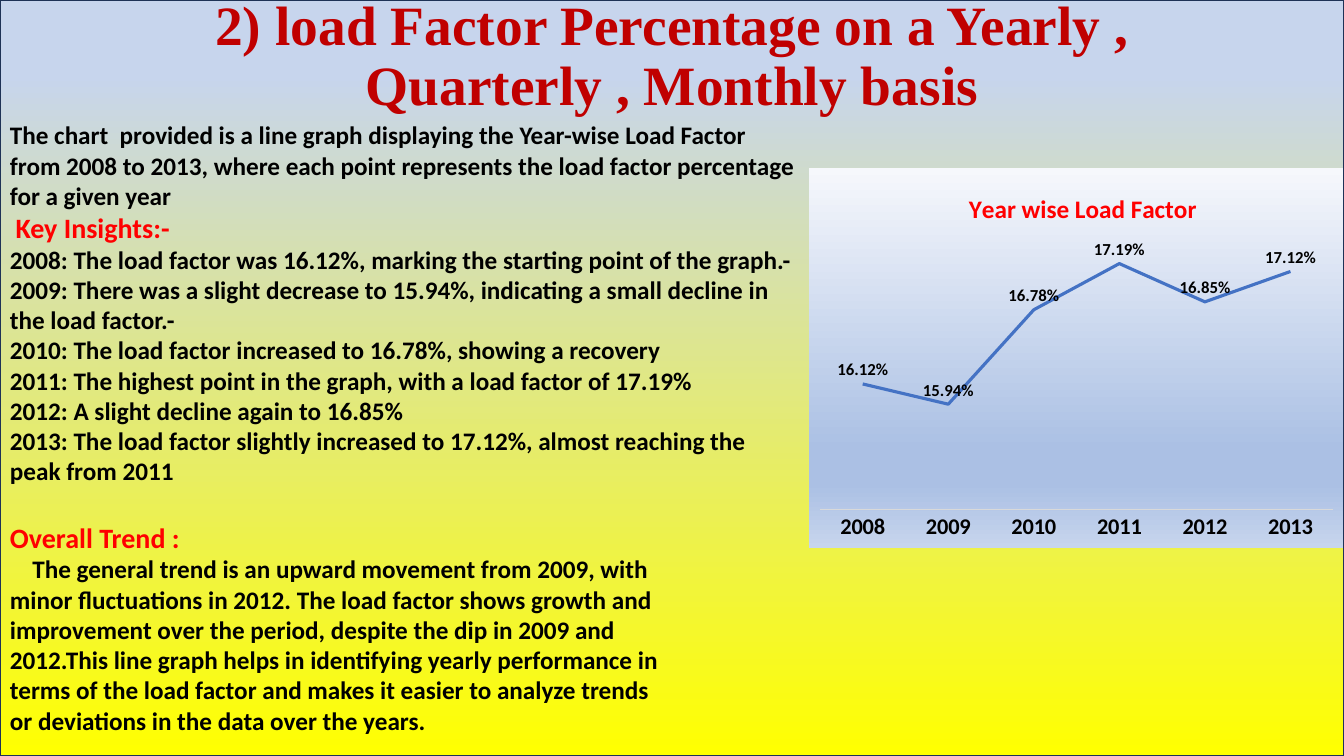
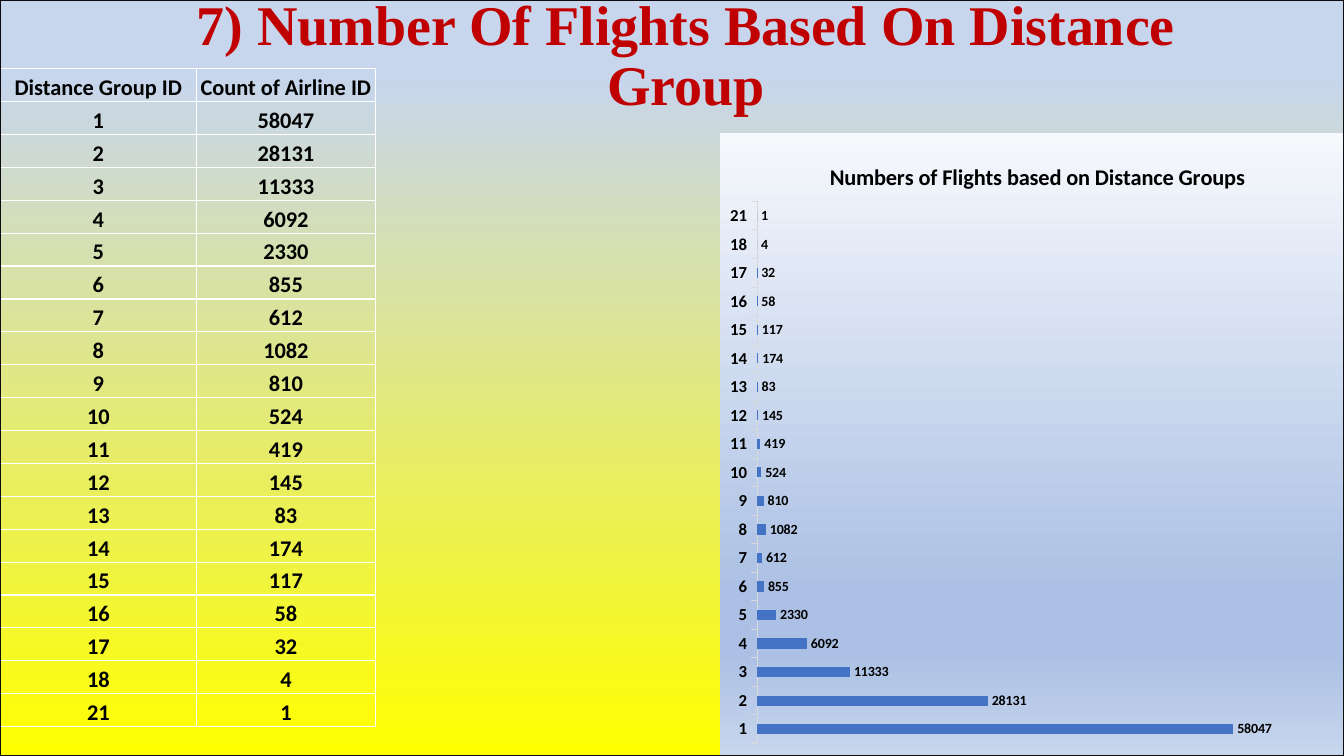
import pptx
import pptx.chart.data
import pptx.dml.color
import pptx.enum.chart
import pptx.enum.shapes
import pptx.enum.text
import pptx.oxml
import pptx.oxml.ns
import pptx.util

Pt = pptx.util.Pt
RGBColor = pptx.dml.color.RGBColor
CHART_TYPE = pptx.enum.chart.XL_CHART_TYPE
LABEL_POSITION = pptx.enum.chart.XL_LABEL_POSITION
TICK_MARK = pptx.enum.chart.XL_TICK_MARK
ANCHOR = pptx.enum.text.MSO_ANCHOR
CENTER = pptx.enum.text.PP_ALIGN.CENTER

BLACK = RGBColor(0x00, 0x00, 0x00)
RED = RGBColor(0xFF, 0x00, 0x00)
DARK_RED = RGBColor(0xC0, 0x00, 0x00)
WHITE = RGBColor(0xFF, 0xFF, 0xFF)
YELLOW = RGBColor(0xFF, 0xFF, 0x00)
NEAR_BLACK = RGBColor(0x0D, 0x0D, 0x0D)
NAVY = RGBColor(0x1E, 0x32, 0x56)
SERIES_BLUE = RGBColor(0x44, 0x72, 0xC4)
AXIS_GREY = RGBColor(0xD9, 0xD9, 0xD9)
PALE = RGBColor(0xF6, 0xF8, 0xFC)
LIGHT_BLUE = RGBColor(0xC7, 0xD5, 0xED)
MID_BLUE = RGBColor(0xAB, 0xC0, 0xE4)

PAGE_STOPS = [(10, LIGHT_BLUE), (100, YELLOW), (100, MID_BLUE)]
CHART_STOPS = [(0, PALE), (74, MID_BLUE), (83, MID_BLUE), (100, LIGHT_BLUE)]

BODY_FONT = "Calibri"
TITLE_FONT = "Times New Roman"
SLIDE_W, SLIDE_H = 960, 540

LOAD_FACTORS = {"2008": 0.1612, "2009": 0.1594, "2010": 0.1678,
                "2011": 0.1719, "2012": 0.1685, "2013": 0.1712}
FLIGHTS = {"1": 58047, "2": 28131, "3": 11333, "4": 6092, "5": 2330,
           "6": 855, "7": 612, "8": 1082, "9": 810, "10": 524, "11": 419,
           "12": 145, "13": 83, "14": 174, "15": 117, "16": 58, "17": 32,
           "18": 4, "21": 1}

# Paragraphs are (text, size, colour, first-line indent)
INSIGHTS = [
    ("The chart  provided is a line graph displaying the Year-wise Load Factor "
     "from 2008 to 2013, where each point represents the load factor "
     "percentage for a given year", 18, BLACK, 0),
    ("Key Insights:-", 20, RED, 4),
] + [(text, 18, BLACK, 0) for text in (
    "2008: The load factor was 16.12%, marking the starting point of the graph.-",
    "2009: There was a slight decrease to 15.94%, indicating a small decline in "
    "the load factor.-",
    "2010: The load factor increased to 16.78%, showing a recovery",
    "2011: The highest point in the graph, with a load factor of 17.19%",
    "2012: A slight decline again to 16.85%",
    "2013: The load factor slightly increased to 17.12%, almost reaching the "
    "peak from 2011",
)]
TREND = [
    ("Overall Trend :", 20, RED, 0),
    ("The general trend is an upward movement from 2009, with minor "
     "fluctuations in 2012. The load factor shows growth and improvement over "
     "the period, despite the dip in 2009 and 2012.This line graph helps in "
     "identifying yearly performance in terms of the load factor and makes it "
     "easier to analyze trends or deviations in the data over the years.",
     18, BLACK, 16),
]


def xml(tag, content="", attrs=""):
    ns = pptx.oxml.ns.nsdecls("a", "c")
    return pptx.oxml.parse_xml(f"<{tag} {ns} {attrs}>{content}</{tag}>")


def gradient(stops):
    """Return the inner XML of a top-to-bottom gradient fill."""
    marks = "".join(f'<a:gs pos="{pos * 1000}"><a:srgbClr val="{color}"/></a:gs>'
                    for pos, color in stops)
    return f'<a:gsLst>{marks}</a:gsLst><a:lin ang="5400000" scaled="0"/>'


def style_font(font, size, color, name=BODY_FONT, bold=True):
    font.name, font.size, font.bold = name, Pt(size), bold
    font.color.rgb = color


def add_slide(prs):
    s = prs.slides.add_slide(prs.slide_layouts[6])
    fill = s.background.fill
    fill.solid()
    solid = s.element.xpath("p:cSld/p:bg/p:bgPr/a:solidFill")[0]
    solid.getparent().replace(solid, xml("a:gradFill", gradient(PAGE_STOPS)))
    return s


def add_text(s, box):
    tf = s.shapes.add_textbox(*map(Pt, box)).text_frame
    tf.word_wrap = True
    return tf


def add_title(s, left, text, size=40):
    tf = add_text(s, (left, 0, 828, 82))
    tf.vertical_anchor = ANCHOR.MIDDLE
    tf.text = text
    p = tf.paragraphs[0]
    p.alignment, p.line_spacing = CENTER, 0.9
    style_font(p.runs[0].font, size, DARK_RED, TITLE_FONT)


def add_body(s, box, items):
    tf = add_text(s, box)
    for i, (text, size, color, indent) in enumerate(items):
        p = tf.paragraphs[0] if i == 0 else tf.add_paragraph()
        p.text = text
        if indent:
            p._p.get_or_add_pPr().set("indent", str(int(Pt(indent))))
        style_font(p.runs[0].font, size, color)


def add_frame(s, color, width):
    sp = s.shapes.add_shape(pptx.enum.shapes.MSO_SHAPE.RECTANGLE,
                            0, 0, Pt(SLIDE_W), Pt(SLIDE_H))
    sp.shadow.inherit = False
    sp.fill.background()
    sp.line.color.rgb, sp.line.width = color, Pt(width)


def layout(target="", **place):
    """Return a chart layout placed by fractions of the chart box."""
    parts = '<c:xMode val="edge"/><c:yMode val="edge"/>' + "".join(
        f'<c:{key} val="{value}"/>' for key, value in place.items())
    return xml("c:layout", f"<c:manualLayout>{target}{parts}</c:manualLayout>")


def place_part(part, index, new_layout):
    for old in part.findall(pptx.oxml.ns.qn("c:layout")):
        part.remove(old)
    part.insert(index, new_layout)


def add_chart(s, box, kind, values, number_format, title, title_size,
              title_color, title_at, plot_at, value_range, axis_size,
              label_size, label_position):
    """Add a one-series chart with a hidden value axis and a gradient panel."""
    data = pptx.chart.data.CategoryChartData(number_format=number_format)
    data.categories = list(values)
    data.add_series("Series 1", list(values.values()))
    chart = s.shapes.add_chart(kind, *map(Pt, box), data).chart
    style_font(chart.font, 10, BLACK, bold=False)
    chart.has_legend = False

    chart.has_title = True
    tf = chart.chart_title.text_frame
    tf.text = title
    style_font(tf.paragraphs[0].runs[0].font, title_size, title_color)
    chart.chart_title.include_in_layout = False

    value_axis = chart.value_axis
    value_axis.minimum_scale, value_axis.maximum_scale = value_range
    value_axis.has_major_gridlines = False
    value_axis.visible = False
    axis = chart.category_axis
    axis.has_major_gridlines = False
    style_font(axis.tick_labels.font, axis_size, BLACK)
    axis.format.line.color.rgb, axis.format.line.width = AXIS_GREY, Pt(0.75)

    plot = chart.plots[0]
    plot.vary_by_categories = False
    plot.has_data_labels = True
    labels = plot.data_labels
    labels.show_value = True
    labels.position = label_position
    labels.number_format = number_format
    labels.number_format_is_linked = False
    style_font(labels.font, label_size, BLACK)

    space = chart._chartSpace
    x, y = title_at
    place_part(space.xpath("c:chart/c:title")[0], 1, layout(x=x, y=y))
    x, y, w, h = plot_at
    place_part(space.xpath("c:chart/c:plotArea")[0], 0,
               layout('<c:layoutTarget val="inner"/>', x=x, y=y, w=w, h=h))
    panel = (f'<a:gradFill>{gradient(CHART_STOPS)}</a:gradFill>'
             '<a:ln><a:noFill/></a:ln>')
    space.xpath("c:chart")[0].addnext(xml("c:spPr", panel))
    return chart


def add_load_factor_chart(s, box):
    chart = add_chart(s, box, CHART_TYPE.LINE, LOAD_FACTORS, "0.00%",
                      "Year wise Load Factor", 18, RED, (0.29, 0.05),
                      (0.02, 0.16, 0.96, 0.74), (0.15, 0.175), 16, 12,
                      LABEL_POSITION.ABOVE)
    chart.category_axis.major_tick_mark = TICK_MARK.NONE
    series = chart.plots[0].series[0]
    series.smooth = False
    series.format.line.color.rgb = SERIES_BLUE
    series.format.line.width = Pt(2.25)


def add_flights_chart(s, box):
    chart = add_chart(s, box, CHART_TYPE.BAR_CLUSTERED, FLIGHTS, "General",
                      "Numbers of Flights based on Distance Groups", 16, BLACK,
                      (0.17, 0.04), (0.06, 0.11, 0.92, 0.87), (0, 70000), 12,
                      10, LABEL_POSITION.OUTSIDE_END)
    chart.category_axis.major_tick_mark = TICK_MARK.OUTSIDE
    plot = chart.plots[0]
    plot.gap_width = 182
    fill = plot.series[0].format.fill
    fill.solid()
    fill.fore_color.rgb = SERIES_BLUE


def style_cell(cell, text):
    cell.text = text
    cell.vertical_anchor = ANCHOR.BOTTOM
    cell.margin_left = cell.margin_right = cell.margin_top = Pt(0.75)
    cell.margin_bottom = 0
    p = cell.text_frame.paragraphs[0]
    p.alignment = CENTER
    style_font(p.runs[0].font, 16, BLACK)
    line = f'<a:solidFill><a:srgbClr val="{WHITE}"/></a:solidFill>'
    for side in "LRTB":
        cell._tc.get_or_add_tcPr().append(
            xml(f"a:ln{side}", line, f'w="{int(Pt(1))}"'))
    cell.fill.background()


def add_flights_table(s, left, top, col_widths, row_height):
    rows = [("Distance Group ID", "Count of Airline ID"), *FLIGHTS.items()]
    table = s.shapes.add_table(len(rows), len(col_widths), Pt(left), Pt(top),
                               Pt(sum(col_widths)),
                               Pt(row_height * len(rows))).table
    table.first_row = table.horz_banding = False
    for column, width in zip(table.columns, col_widths):
        column.width = Pt(width)
    for i, row in enumerate(rows):
        table.rows[i].height = Pt(row_height)
        for j, value in enumerate(row):
            style_cell(table.cell(i, j), str(value))


def load_factor_slide(prs):
    s = add_slide(prs)
    add_title(s, 66, "2) load Factor Percentage on a Yearly , "
                     "Quarterly , Monthly basis", 39.6)
    add_body(s, (0, 82, 578, 271.5), INSIGHTS)
    add_body(s, (0, 368, 480, 163), TREND)
    add_load_factor_chart(s, (578, 120, 382, 271.5))
    add_frame(s, NEAR_BLACK, 1)
    add_frame(s, NAVY, 1.75)


def distance_group_slide(prs):
    s = add_slide(prs)
    add_title(s, 76, "7) Number Of Flights Based On Distance Group")
    add_flights_chart(s, (514, 95, 446, 445))
    add_flights_table(s, 0, 49, (140.5, 127.5), 23.5)
    add_frame(s, NEAR_BLACK, 2)


def main():
    prs = pptx.Presentation()
    prs.slide_width, prs.slide_height = Pt(SLIDE_W), Pt(SLIDE_H)
    load_factor_slide(prs)
    distance_group_slide(prs)
    prs.save("out.pptx")


if __name__ == "__main__":
    main()
